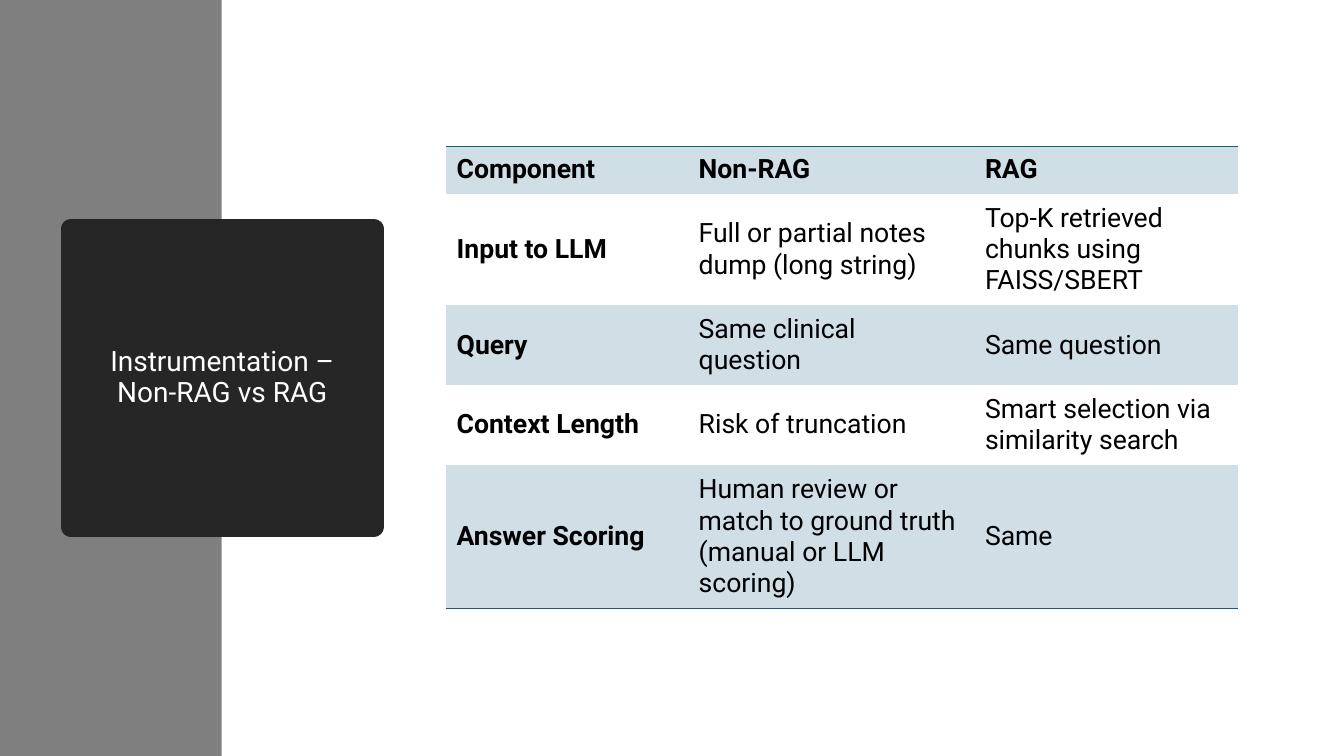
from dataclasses import dataclass

from lxml import etree
from pptx import Presentation
from pptx.dml.color import RGBColor
from pptx.enum import shapes, text
from pptx.oxml import ns
from pptx.util import Inches, Pt


@dataclass(frozen=True)
class Theme:
    font: str = "Roboto"
    title: float = 20
    body: float = 19
    edge: float = 13.75
    rule: float = 1
    gray: str = "7F7F7F"
    dark: str = "262626"
    white: str = "FFFFFF"
    black: str = "000000"
    band: str = "D0DFE6"
    teal: str = "156082"


@dataclass(frozen=True)
class Box:
    left: float
    top: float
    width: float
    height: float
    fill: str

    def place(self) -> list:
        return [Inches(n) for n in (self.left, self.top, self.width, self.height)]


@dataclass(frozen=True)
class Row:
    height: float
    cells: tuple[str, str, str]


THEME = Theme()
PANEL = Box(0, 0, 2.2, 7.5, THEME.gray)
TITLE = Box(0.7, 2.27, 3.01, 2.96, THEME.dark)
TABLE = Box(4.42, 1.45, 7.86, 4.59, THEME.band)
WIDTHS = (2.4, 2.84, 2.62)
ROWS = (
    Row(0.47, ("Component", "Non-RAG", "RAG")),
    Row(1.11, ("Input to LLM", "Full or partial notes dump (long string)",
               "Top-K retrieved chunks using FAISS/SBERT")),
    Row(0.79, ("Query", "Same clinical question", "Same question")),
    Row(0.79, ("Context Length", "Risk of truncation",
               "Smart selection via similarity search")),
    Row(1.43, ("Answer Scoring",
               "Human review or match to ground truth (manual or LLM scoring)",
               "Same")),
)
PLAIN = "{2D5ABB26-0587-4C30-8999-92F81FD0307C}"


def color(code: str) -> RGBColor:
    return RGBColor.from_string(code)


def style(frame, size: float, code: str, bold: bool = False) -> None:
    for para in frame.paragraphs:
        for run in para.runs:
            run.font.name = THEME.font
            run.font.size = Pt(size)
            run.font.bold = bold
            run.font.color.rgb = color(code)


def block(slide, box: Box):
    shape = slide.shapes.add_shape(shapes.MSO_SHAPE.RECTANGLE, *box.place())
    shape.shadow.inherit = False
    shape.fill.solid()
    shape.fill.fore_color.rgb = color(box.fill)
    shape.line.fill.background()
    return shape


def heading(slide, box: Box, words: str) -> None:
    shape = block(slide, box)
    shape.line.color.rgb = color(box.fill)
    shape.line.width = Pt(THEME.edge)
    etree.SubElement(shape.line._ln, ns.qn("a:round"))
    frame = shape.text_frame
    frame.word_wrap = True
    frame.vertical_anchor = text.MSO_ANCHOR.MIDDLE
    frame.text = words
    frame.paragraphs[0].alignment = text.PP_ALIGN.CENTER
    frame.paragraphs[0].line_spacing = 0.9
    style(frame, THEME.title, THEME.white)


def border(cell, side: str) -> None:
    line = etree.Element(ns.qn(f"a:{side}"), w=str(Pt(THEME.rule)))
    fill = etree.SubElement(line, ns.qn("a:solidFill"))
    etree.SubElement(fill, ns.qn("a:srgbClr"), val=THEME.teal)
    cell._tc.get_or_add_tcPr().insert(0, line)


def fill_cell(cell, words: str, band: bool, bold: bool) -> None:
    cell.text = words
    cell.vertical_anchor = text.MSO_ANCHOR.MIDDLE
    cell.margin_left = cell.margin_right = Inches(0.11)
    cell.margin_top = cell.margin_bottom = Inches(0.05)
    style(cell.text_frame, THEME.body, THEME.black, bold)
    if band:
        cell.fill.solid()
        cell.fill.fore_color.rgb = color(TABLE.fill)
    else:
        cell.fill.background()


def grid(slide, box: Box, rows: tuple[Row, ...]) -> None:
    table = slide.shapes.add_table(len(rows), len(WIDTHS), *box.place()).table
    table.horz_banding = False
    table._tbl.tblPr.find(ns.qn("a:tableStyleId")).text = PLAIN
    for col, width in zip(table.columns, WIDTHS):
        col.width = Inches(width)
    for r, row in enumerate(rows):
        table.rows[r].height = Inches(row.height)
        for c, words in enumerate(row.cells):
            cell = table.cell(r, c)
            fill_cell(cell, words, r % 2 == 0, r == 0 or c == 0)
            if r == 0:
                border(cell, "lnT")
            if r == len(rows) - 1:
                border(cell, "lnB")


def main() -> None:
    deck = Presentation()
    deck.slide_width = Inches(13.33)
    deck.slide_height = Inches(7.5)
    slide = deck.slides.add_slide(deck.slide_layouts[6])
    block(slide, PANEL)
    heading(slide, TITLE, "Instrumentation – Non-RAG vs RAG")
    grid(slide, TABLE, ROWS)
    deck.save("out.pptx")


if __name__ == "__main__":
    main()
